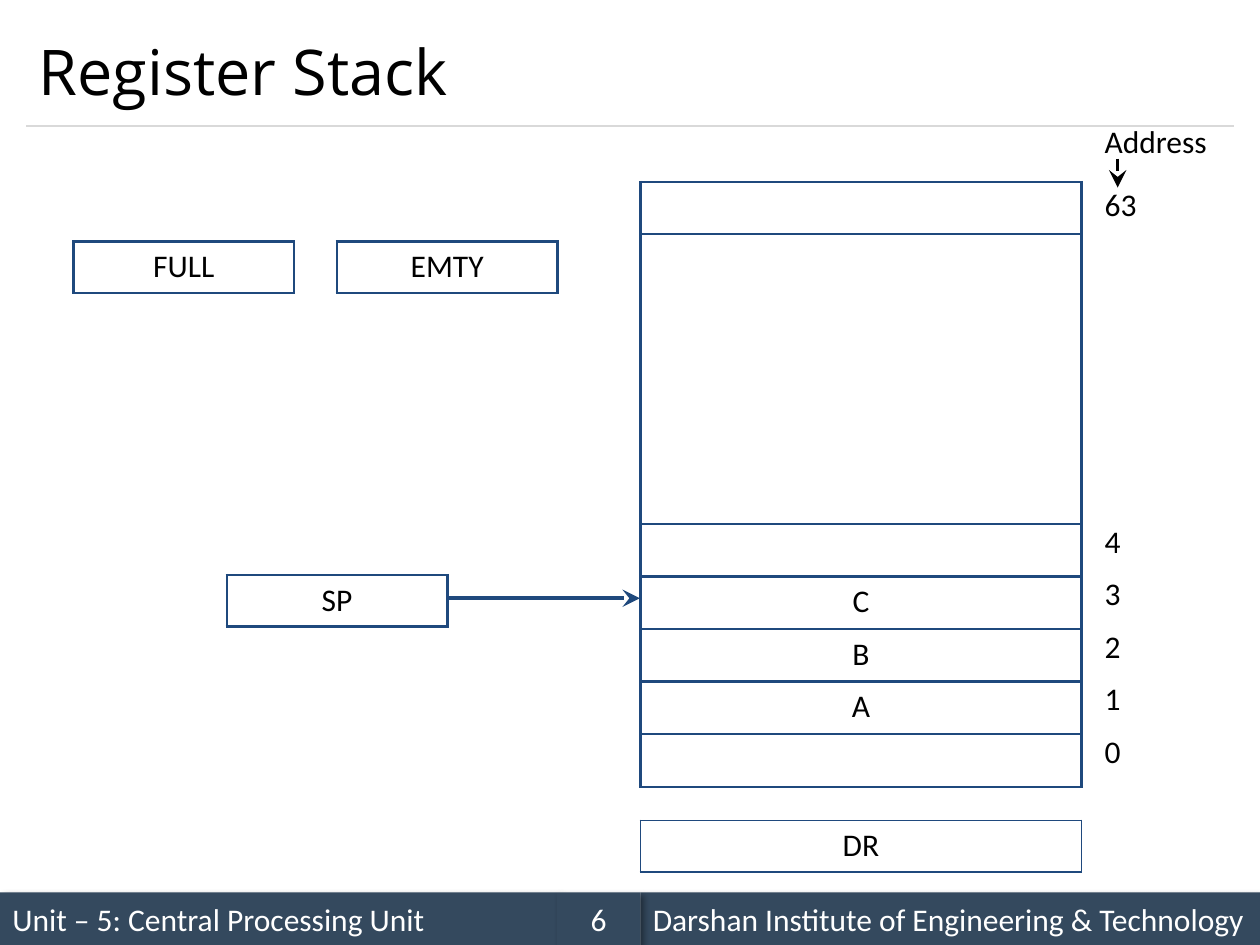
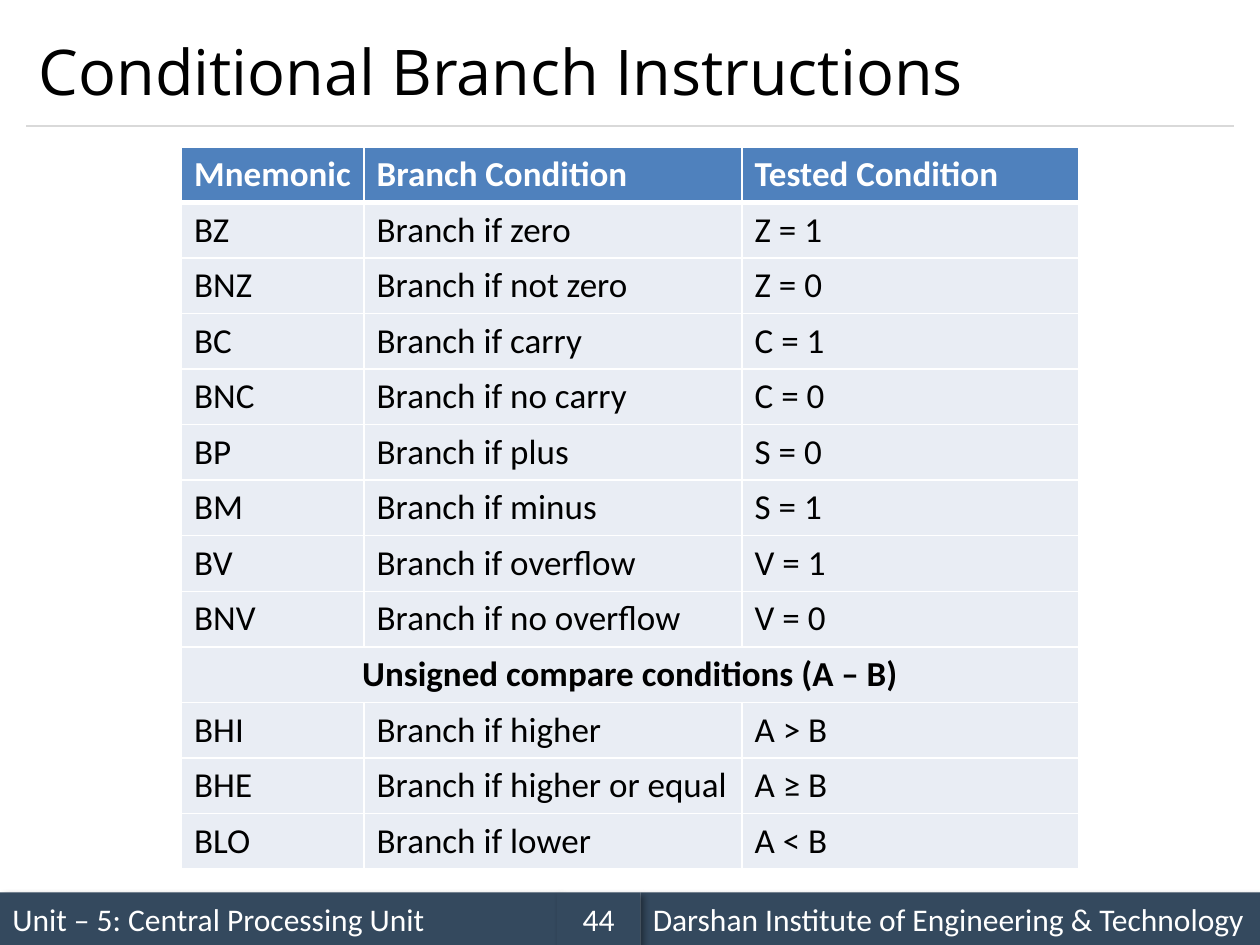
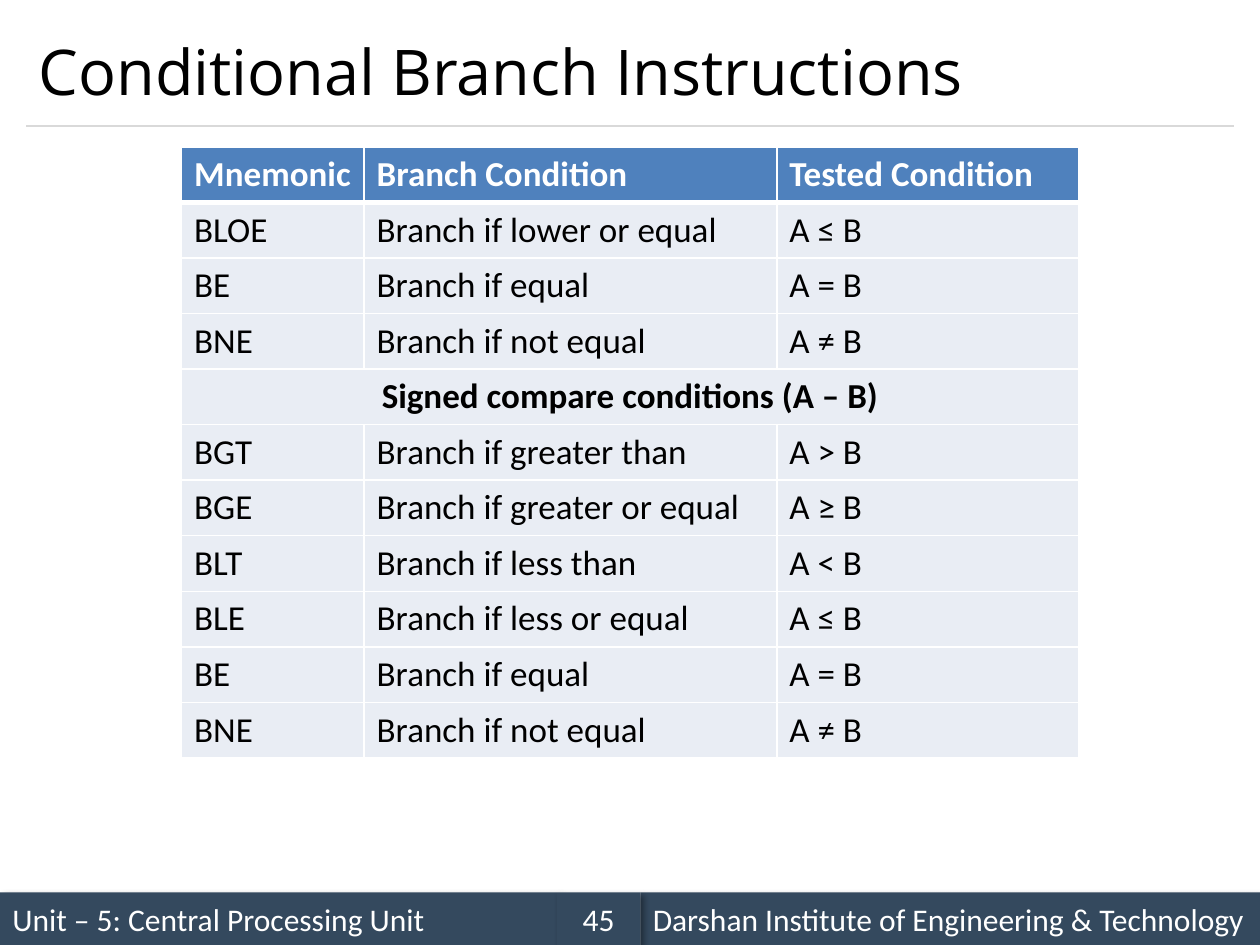
from dataclasses import dataclass

import lxml.etree
import pptx
import pptx.dml.color
import pptx.enum.shapes
import pptx.enum.text
import pptx.oxml.ns
import pptx.slide
import pptx.table
import pptx.text.text
import pptx.util

Cm = pptx.util.Cm
Pt = pptx.util.Pt
qn = pptx.oxml.ns.qn
Align = pptx.enum.text.PP_ALIGN
Anchor = pptx.enum.text.MSO_ANCHOR


@dataclass(frozen=True)
class Theme:
    black: str = "000000"
    white: str = "FFFFFF"
    band: str = "34495E"
    rule: str = "D9D9D9"
    navy: str = "1F497D"
    head: str = "4F81BD"
    body: str = "E9EDF4"
    font: str = "Calibri"
    title_font: str = "Open Sans"
    title: int = 36
    grid: int = 20
    text: int = 18


@dataclass(frozen=True)
class Band:
    left: float
    top: float
    width: float
    align: Align = Align.LEFT
    height: float = 1.07


@dataclass(frozen=True)
class Stack:
    left: float
    top: float
    width: float
    rows: tuple[tuple[str, float], ...]
    line: float = 1.5


@dataclass(frozen=True)
class Label:
    text: str
    top: float
    width: float = 0.86


@dataclass(frozen=True)
class Line:
    start: tuple[float, float]
    end: tuple[float, float]
    color: str
    width: float
    arrow: bool = False


@dataclass(frozen=True)
class Grid:
    page: int
    cols: tuple[float, ...]
    rows: tuple[tuple[str, ...], ...]


THEME = Theme()

LEFT = Band(0, 17.99, 11.23)
RIGHT = Band(12.91, 17.99, 12.49)
MIDDLE = Band(11.23, 17.99, 1.68, Align.CENTER)
RULE = Line((0.53, 2.54), (24.87, 2.54), THEME.rule, 0.75)

BOX = 1.04
STEP = 1.06
STACKS = (
    Stack(12.91, 3.67, 8.89, (("", BOX), ("", 5.85), *((name, STEP) for name in ("", "C", "B", "A", "")))),
    Stack(12.91, 16.54, 8.89, (("DR", BOX),), 1),
    Stack(1.48, 4.87, 4.45, (("FULL", BOX),)),
    Stack(6.79, 4.87, 4.45, (("EMTY", BOX),)),
    Stack(4.57, 11.59, 4.45, (("SP", BOX),)),
)
LABELS = (
    Label("Address", 2.34, 2.62),
    Label("63", 3.61, 1.2),
    *(Label(str(n), 14.63 - n * STEP) for n in range(5)),
)
ARROWS = (
    Line((22.53, 3.2), (22.53, 3.78), THEME.black, 2, True),
    Line((9.02, 12.06), (12.9, 12.06), THEME.navy, 2, True),
)

HEADS = ("Mnemonic", "Branch Condition", "Tested Condition")
GRIDS = (
    Grid(44, (3.68, 7.62, 6.78), (
        ("BZ", "Branch if zero", "Z = 1"),
        ("BNZ", "Branch if not zero", "Z = 0"),
        ("BC", "Branch if carry", "C = 1"),
        ("BNC", "Branch if no carry", "C = 0"),
        ("BP", "Branch if plus", "S = 0"),
        ("BM", "Branch if minus", "S = 1"),
        ("BV", "Branch if overflow", "V = 1"),
        ("BNV", "Branch if no overflow", "V = 0"),
        ("Unsigned compare conditions (A – B)",),
        ("BHI", "Branch if higher", "A > B"),
        ("BHE", "Branch if higher or equal", "A ≥ B"),
        ("BLO", "Branch if lower", "A < B"),
    )),
    Grid(45, (3.68, 8.32, 6.08), (
        ("BLOE", "Branch if lower or equal", "A ≤ B"),
        ("BE", "Branch if equal", "A = B"),
        ("BNE", "Branch if not equal", "A ≠ B"),
        ("Signed compare conditions (A – B)",),
        ("BGT", "Branch if greater than", "A > B"),
        ("BGE", "Branch if greater or equal", "A ≥ B"),
        ("BLT", "Branch if less than", "A < B"),
        ("BLE", "Branch if less or equal", "A ≤ B"),
        ("BE", "Branch if equal", "A = B"),
        ("BNE", "Branch if not equal", "A ≠ B"),
    )),
)


def rgb(color: str) -> pptx.dml.color.RGBColor:
    return pptx.dml.color.RGBColor.from_string(color)


def node(parent: lxml.etree._Element, tag: str, **values: object) -> lxml.etree._Element:
    return lxml.etree.SubElement(parent, qn(tag), {key: str(val) for key, val in values.items()})


def write(frame: pptx.text.text.TextFrame, text: str, size: int, color: str = THEME.black,
          align: Align = Align.LEFT, font: str = THEME.font, bold: bool = False) -> None:
    frame.text = text
    para = frame.paragraphs[0]
    para.alignment = align
    for run in para.runs:
        run.font.name = font
        run.font.size = Pt(size)
        run.font.bold = bold
        run.font.color.rgb = rgb(color)


def add_band(slide: pptx.slide.Slide, band: Band, text: str) -> None:
    shape = slide.shapes.add_shape(pptx.enum.shapes.MSO_SHAPE.RECTANGLE, Cm(band.left), Cm(band.top),
                                   Cm(band.width), Cm(band.height))
    shape.fill.solid()
    shape.fill.fore_color.rgb = rgb(THEME.band)
    shape.line.fill.background()
    effects = node(shape.element.spPr, "a:effectLst")
    shadow = node(effects, "a:outerShdw", blurRad=Pt(4), dist=Pt(3), dir=45 * 60000,
                  algn="tl", rotWithShape=0)
    node(node(shadow, "a:srgbClr", val=THEME.black), "a:alpha", val=40000)
    shape.text_frame.word_wrap = True
    shape.text_frame.vertical_anchor = Anchor.MIDDLE
    write(shape.text_frame, text, THEME.text, THEME.white, band.align)


def add_line(slide: pptx.slide.Slide, line: Line) -> None:
    ends = [Cm(n) for n in line.start + line.end]
    link = slide.shapes.add_connector(pptx.enum.shapes.MSO_CONNECTOR.STRAIGHT, *ends)
    link.line.color.rgb = rgb(line.color)
    link.line.width = Pt(line.width)
    if line.arrow:
        node(link.line._get_or_add_ln(), "a:tailEnd", type="stealth", w="lg", len="lg")
    node(link.element.spPr, "a:effectLst")


def add_text(slide: pptx.slide.Slide, left: float, top: float, width: float,
             height: float) -> pptx.text.text.TextFrame:
    frame = slide.shapes.add_textbox(Cm(left), Cm(top), Cm(width), Cm(height)).text_frame
    frame.word_wrap = True
    return frame


def add_table(slide: pptx.slide.Slide, left: float, top: float, cols: tuple[float, ...],
              rows: list[float]) -> pptx.table.Table:
    table = slide.shapes.add_table(len(rows), len(cols), Cm(left), Cm(top),
                                   Cm(sum(cols)), Cm(sum(rows))).table
    table.first_row = table.horz_banding = False
    for col, width in zip(table.columns, cols):
        col.width = Cm(width)
    for row, height in zip(table.rows, rows):
        row.height = Cm(height)
    return table


def edge(cell: pptx.table._Cell, color: str, width: float, top: float, base: float) -> None:
    props = cell._tc.get_or_add_tcPr()
    for side, size in zip("LRTB", (width, width, top, base)):
        line = node(props, f"a:ln{side}", w=Pt(size))
        node(node(line, "a:solidFill"), "a:srgbClr", val=color)


def add_stack(slide: pptx.slide.Slide, stack: Stack) -> None:
    table = add_table(slide, stack.left, stack.top, (stack.width,), [high for _, high in stack.rows])
    for cell, (text, _) in zip(table.iter_cells(), stack.rows):
        edge(cell, THEME.navy, stack.line, stack.line, stack.line)
        cell.fill.background()
        write(cell.text_frame, text, THEME.text, align=Align.CENTER)


def add_grid(slide: pptx.slide.Slide, grid: Grid) -> None:
    rows = (HEADS, *grid.rows)
    table = add_table(slide, 3.66, 2.96, grid.cols, [1.12] * len(rows))
    for r, texts in enumerate(rows):
        head, wide = r == 0, len(texts) == 1
        for c in range(len(grid.cols)):
            cell = table.cell(r, c)
            edge(cell, THEME.white, 1, 3 if r == 1 else 1, 3 if head else 1)
            cell.fill.solid()
            cell.fill.fore_color.rgb = rgb(THEME.head if head else THEME.body)
        if wide:
            table.cell(r, 0).merge(table.cell(r, len(grid.cols) - 1))
        for c, text in enumerate(texts):
            write(table.cell(r, c).text_frame, text, THEME.grid, THEME.white if head else THEME.black,
                  Align.CENTER if wide else Align.LEFT, bold=head or wide)


def add_slide(deck: pptx.presentation.Presentation, title: str, page: int) -> pptx.slide.Slide:
    slide = deck.slides.add_slide(deck.slide_layouts[6])
    add_band(slide, LEFT, "Unit – 5: Central Processing Unit")
    add_line(slide, RULE)
    add_band(slide, RIGHT, "Darshan Institute of Engineering & Technology")
    add_band(slide, MIDDLE, str(page))
    frame = add_text(slide, 0.53, 0.3, 24.33, 2.24)
    frame.vertical_anchor = Anchor.MIDDLE
    write(frame, title, THEME.title, font=THEME.title_font)
    return slide


def main() -> None:
    deck = pptx.Presentation()
    deck.slide_width = Cm(25.4)
    deck.slide_height = Cm(19.05)
    slide = add_slide(deck, "Register Stack", 6)
    for stack in STACKS:
        add_stack(slide, stack)
    for label in LABELS:
        write(add_text(slide, 22.02, label.top, label.width, 1.02), label.text, THEME.text)
    for arrow in ARROWS:
        add_line(slide, arrow)
    for grid in GRIDS:
        add_grid(add_slide(deck, "Conditional Branch Instructions", grid.page), grid)
    deck.save("out.pptx")


if __name__ == "__main__":
    main()
